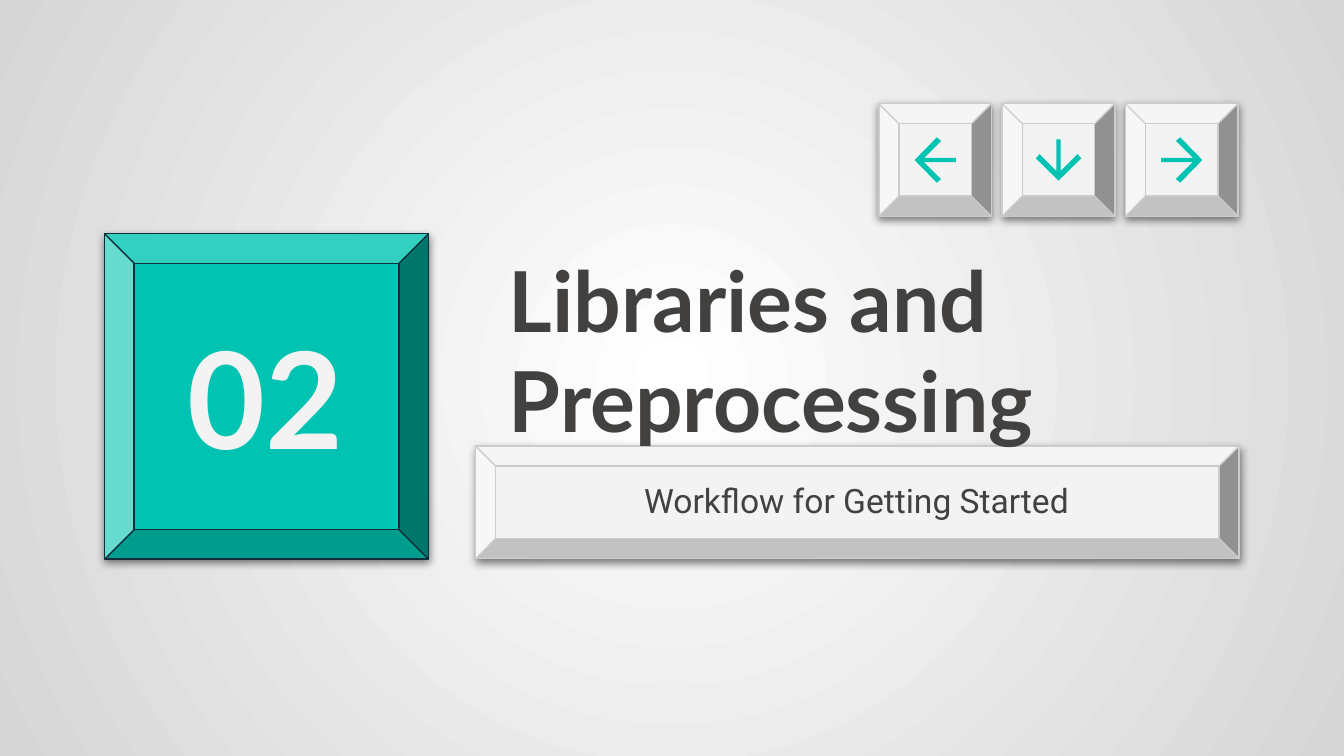
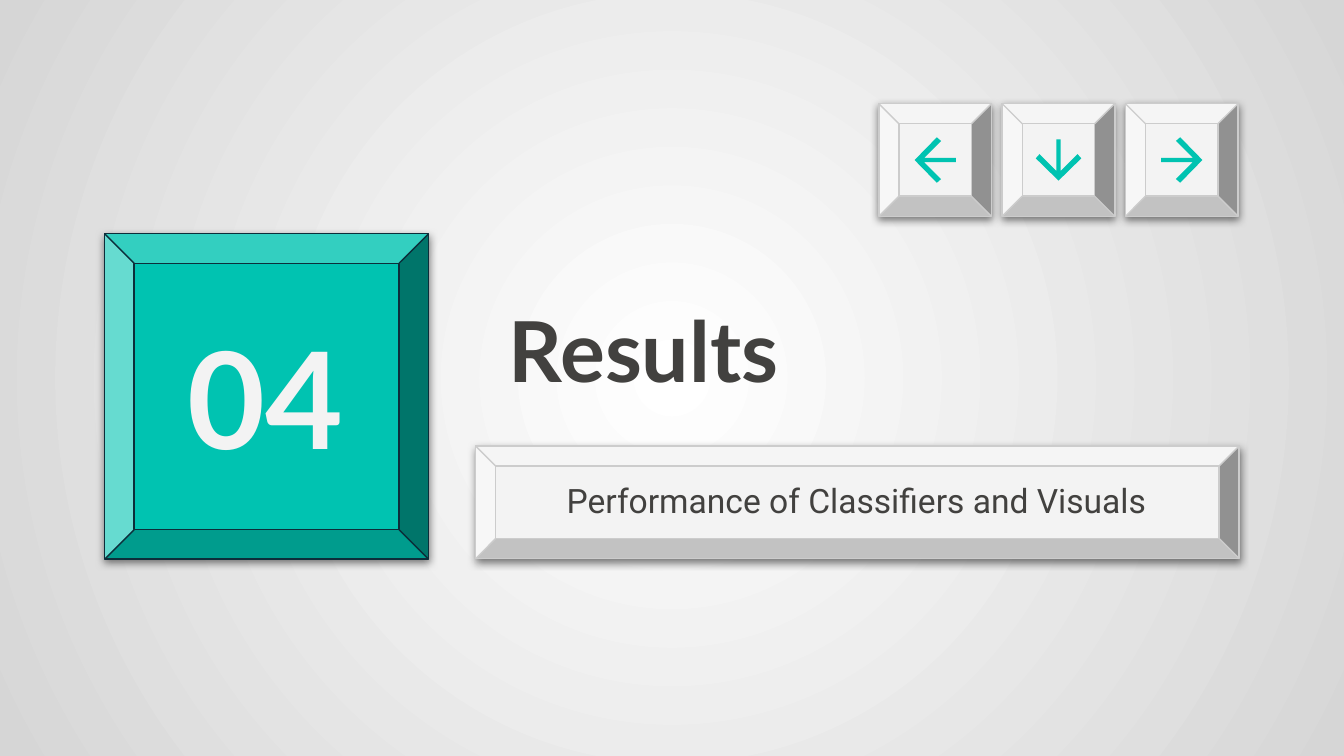
from dataclasses import dataclass

from lxml.etree import SubElement
from pptx import Presentation
from pptx.dml.color import RGBColor
from pptx.enum.shapes import MSO_SHAPE as Preset
from pptx.enum.text import MSO_ANCHOR as Anchor, PP_ALIGN as Align
from pptx.oxml.ns import qn
from pptx.shapes.autoshape import Shape
from pptx.shapes.shapetree import GroupShapes, SlideShapes
from pptx.slide import Slide
from pptx.util import Cm, Pt

TEAL = RGBColor(0x00, 0xC3, 0xB1)
NAVY = RGBColor(0x0C, 0x2E, 0x3A)
PALE = RGBColor(0xF3, 0xF3, 0xF3)
SILVER = RGBColor(0xCC, 0xCC, 0xCC)
CHARCOAL = RGBColor(0x42, 0x41, 0x3F)
WHITE = RGBColor(0xFF, 0xFF, 0xFF)
GREY = RGBColor(0xD6, 0xD6, 0xD6)


@dataclass(frozen=True)
class Area:
    """A rectangle in centimetres."""
    left: float
    top: float
    width: float
    height: float

    def lengths(self) -> tuple[Cm, Cm, Cm, Cm]:
        return Cm(self.left), Cm(self.top), Cm(self.width), Cm(self.height)


@dataclass(frozen=True)
class KeyStyle:
    fill: RGBColor
    line: RGBColor
    bevel: float


@dataclass(frozen=True)
class TextStyle:
    area: Area
    font: str
    size: int
    color: RGBColor
    bold: bool = False
    align: Align = Align.CENTER


@dataclass(frozen=True)
class Section:
    number: str
    title: str
    subtitle: str


SECTIONS = [
    Section("02", "Libraries and Preprocessing", "Workflow for Getting Started"),
    Section("04", "Results", "Performance of Classifiers and Visuals"),
]

# Keys
PALE_KEY = KeyStyle(PALE, SILVER, 0.179)
TEAL_KEY = KeyStyle(TEAL, NAVY, 0.091)
SUBTITLE_KEY = Area(8.99, 8.43, 14.43, 2.13)
NUMBER_KEY = Area(1.98, 4.42, 6.12, 6.15)

# Texts
TITLE = TextStyle(Area(9.37, 4.45, 13.64, 4.29), "Lato", 45, CHARCOAL, True, Align.LEFT)
SUBTITLE = TextStyle(Area(10.03, 8.84, 12.32, 1.22), "Roboto", 18, CHARCOAL)
NUMBER = TextStyle(Area(2.51, 5.84, 5.03, 3.3), "Lato", 72, PALE, True)

# Arrow keys, from right to left
KEY_SIZE, KEY_TOP, LAST_KEY_LEFT, KEY_STEP = 2.13, 1.96, 21.27, 2.33
ARROW_ROTATIONS = (0, 90, 180)

# Right-pointing arrow around its centre: upper half, tip, mirrored lower half
ARROW_HALF = [(-0.39, -0.04), (0.21, -0.04), (-0.11, -0.36), (-0.03, -0.43)]
ARROW = ARROW_HALF + [(0.39, 0)] + [(x, -y) for x, y in reversed(ARROW_HALF)]


def paint_background(slide: Slide) -> None:
    """Fill the slide with a gradient that spreads from the centre."""
    fill = slide.background.fill
    fill.gradient()
    for stop, color in zip(fill.gradient_stops, (WHITE, GREY)):
        stop.color.rgb = color
    gradient = next(slide.element.iter(qn("a:gradFill")))
    gradient.remove(gradient.find(qn("a:lin")))
    circle = SubElement(gradient, qn("a:path"), path="circle")
    SubElement(circle, qn("a:fillToRect"), dict.fromkeys("ltrb", "50000"))


def add_shadow(shape: Shape) -> None:
    shape.shadow.inherit = False
    effects = next(shape.element.iter(qn("a:effectLst")))
    shadow = SubElement(effects, qn("a:outerShdw"), blurRad=str(Pt(4.5)),
                        dist=str(Pt(1.5)), dir="5400000", algn="bl", rotWithShape="0")
    black = SubElement(shadow, qn("a:srgbClr"), val="000000")
    SubElement(black, qn("a:alpha"), val="50000")


def add_key(shapes: SlideShapes | GroupShapes, area: Area, style: KeyStyle) -> None:
    key = shapes.add_shape(Preset.BEVEL, *area.lengths())
    key.adjustments[0] = style.bevel
    key.fill.solid()
    key.fill.fore_color.rgb = style.fill
    key.line.color.rgb = style.line
    key.line.width = Pt(0.75)
    add_shadow(key)


def add_text(slide: Slide, text: str, style: TextStyle) -> None:
    box = slide.shapes.add_textbox(*style.area.lengths())
    frame = box.text_frame
    frame.word_wrap = True
    frame.vertical_anchor = Anchor.MIDDLE
    frame.margin_left = frame.margin_right = Cm(0.25)
    frame.margin_top = frame.margin_bottom = Cm(0.25)
    para = frame.paragraphs[0]
    para.text = text
    para.alignment = style.align
    para.font.name = style.font
    para.font.size = Pt(style.size)
    para.font.bold = style.bold
    para.font.color.rgb = style.color


def add_arrow_key(slide: Slide, left: float, rotation: int) -> None:
    shapes = slide.shapes.add_group_shape().shapes
    add_key(shapes, Area(left, KEY_TOP, KEY_SIZE, KEY_SIZE), PALE_KEY)
    center_x, center_y = left + KEY_SIZE / 2, KEY_TOP + KEY_SIZE / 2
    start, *others = [(Cm(center_x + x), Cm(center_y + y)) for x, y in ARROW]
    builder = shapes.build_freeform(*start)
    builder.add_line_segments(others)
    arrow = builder.convert_to_shape()
    arrow.rotation = rotation
    arrow.fill.solid()
    arrow.fill.fore_color.rgb = TEAL
    arrow.line.fill.background()
    arrow.shadow.inherit = False


def add_section(slide: Slide, section: Section) -> None:
    paint_background(slide)
    add_key(slide.shapes, SUBTITLE_KEY, PALE_KEY)
    add_key(slide.shapes, NUMBER_KEY, TEAL_KEY)
    add_text(slide, section.title, TITLE)
    add_text(slide, section.subtitle, SUBTITLE)
    add_text(slide, section.number, NUMBER)
    for index, rotation in enumerate(ARROW_ROTATIONS):
        add_arrow_key(slide, LAST_KEY_LEFT - index * KEY_STEP, rotation)


def main() -> None:
    deck = Presentation()
    deck.slide_width, deck.slide_height = Cm(25.4), Cm(14.29)
    blank = deck.slide_layouts[6]
    for section in SECTIONS:
        add_section(deck.slides.add_slide(blank), section)
    deck.save("out.pptx")


if __name__ == "__main__":
    main()
